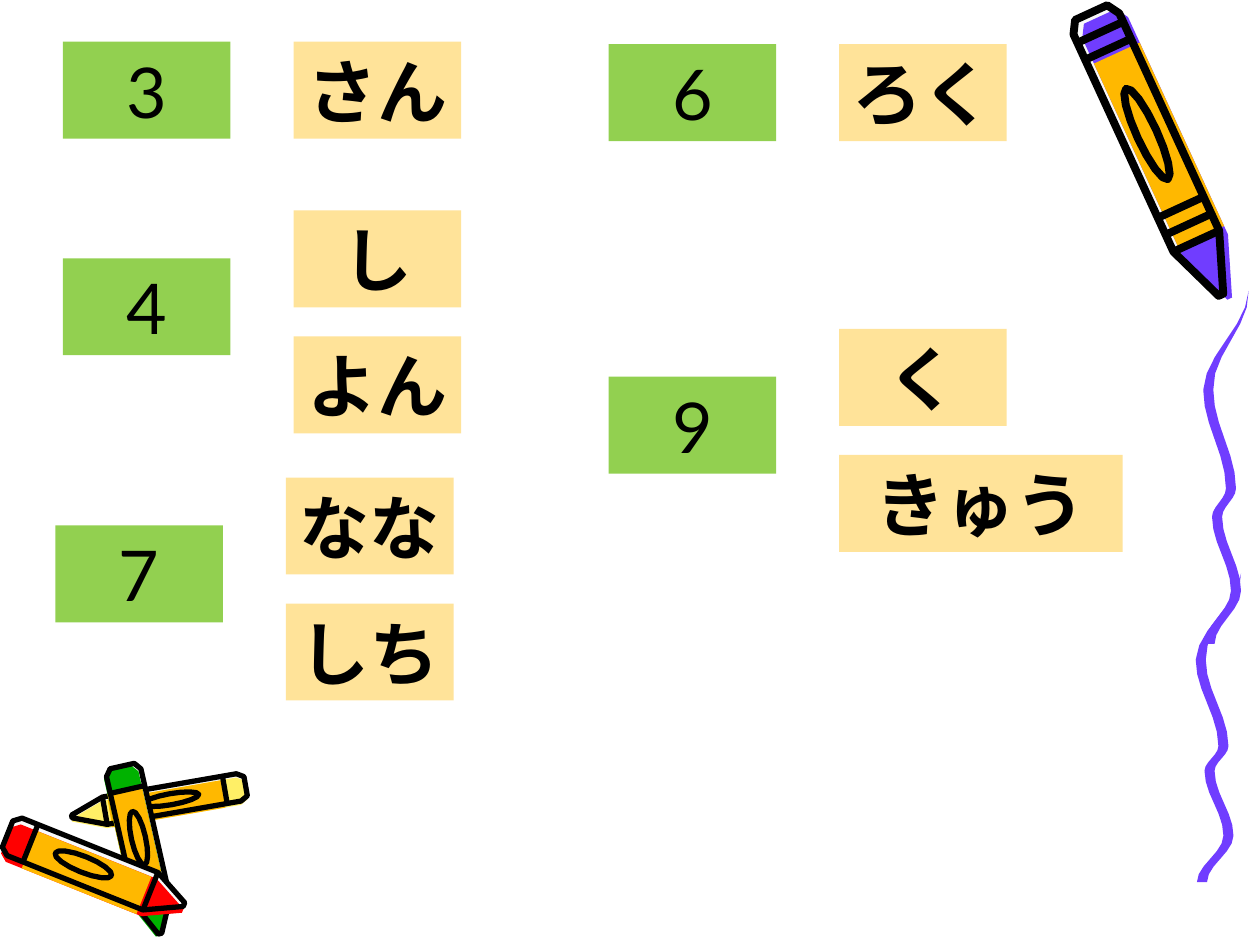
from dataclasses import dataclass
from math import cos, hypot, pi, sin

from lxml import etree
from pptx import Presentation
from pptx.dml.color import RGBColor
from pptx.enum.shapes import MSO_CONNECTOR, MSO_SHAPE
from pptx.enum.text import MSO_ANCHOR, PP_ALIGN
from pptx.oxml.ns import qn
from pptx.util import Inches, Pt

BLACK = RGBColor(0x00, 0x00, 0x00)
PURPLE = RGBColor(0x70, 0x3D, 0xFF)
ORANGE = RGBColor(0xFF, 0xB8, 0x00)
PAPER = RGBColor(0xF8, 0xF8, 0xF8)
YELLOW = RGBColor(0xFF, 0xEF, 0x66)
RED = RGBColor(0xFF, 0x00, 0x00)
GREEN = RGBColor(0x00, 0xB2, 0x00)
LIME = RGBColor(0x92, 0xD0, 0x50)
CREAM = RGBColor(0xFF, 0xE3, 0x99)

LATIN = "Lato"
KANA = "Noto Sans CJK JP"
CARD_W, WIDE_CARD_W, CARD_H = 1.33, 2.25, 0.77
READING_DX, READING_STEP, READING_RISE = 1.83, 1.0, 0.38

SHOULDER = 0.81
SILHOUETTE = [(0, -0.7), (0, 0.7), (0.04, 1), (SHOULDER, 1), (1, 0.1),
              (1, -0.1), (SHOULDER, -1), (0.04, -1)]
WRAPPER = [(0.13, -1), (0.13, 1), (0.78, 1), (0.78, -1)]
LABEL = [(0.43 + 0.16 * cos(i * pi / 8), 0.4 * sin(i * pi / 8)) for i in range(16)]

STRAND_TURNS = [(0, 0), (-0.32, 0.28), (-0.14, 0.56), (-0.25, 0.64), (-0.1, 0.85), (-0.31, 1)]
STRAND_THICKNESS = 0.08
STEPS_PER_TURN = 6

NUMBERS = [
    ("3", 0.5, 0.33, ["さん"]),
    ("6", 4.83, 0.35, ["ろく"]),
    ("4", 0.5, 2.05, ["し", "よん"]),
    ("7", 0.44, 4.17, ["なな", "しち"]),
    ("9", 4.83, 2.99, ["く", "きゅう"]),
]


@dataclass
class Crayon:
    tail: tuple
    tip: tuple
    width: float
    colour: RGBColor
    colour_shift: tuple
    ink: float
    bands: tuple

    def place(self, along, across, shift=(0, 0)):
        dx, dy = self.tip[0] - self.tail[0], self.tip[1] - self.tail[1]
        side = across * self.width / 2 / hypot(dx, dy)
        return (self.tail[0] + along * dx - side * dy + shift[0],
                self.tail[1] + along * dy + side * dx + shift[1])

    def outline(self, part, shift=(0, 0)):
        return [self.place(along, across, shift) for along, across in part]


CRAYONS = [
    Crayon((8.66, 0.1), (9.69, 2.34), 0.4, PURPLE, (0.07, 0.03), 4.5, (0.07, 0.13, 0.69, 0.75, SHOULDER)),
    Crayon((1.95, 6.24), (0.57, 6.48), 0.22, YELLOW, (0, 0.03), 3, (0.12, SHOULDER)),
    Crayon((0.97, 6.08), (1.27, 7.41), 0.28, GREEN, (-0.02, 0.02), 3, (0.14, SHOULDER)),
    Crayon((0.06, 6.62), (1.46, 7.18), 0.32, RED, (-0.01, 0.05), 3, (0.13, SHOULDER)),
]


def paint(sp, colour):
    sp.shadow.inherit = False
    sp.fill.solid()
    sp.fill.fore_color.rgb = colour
    sp.line.fill.background()


def add_polygon(s, points, fill=None, ink=None):
    corners = [(Inches(x), Inches(y)) for x, y in points]
    builder = s.shapes.build_freeform(*corners[0])
    builder.add_line_segments(corners[1:], close=True)
    sp = builder.convert_to_shape()
    if fill is not None:
        paint(sp, fill)
    else:
        sp.shadow.inherit = False
        sp.fill.background()
        sp.line.color.rgb = BLACK
        sp.line.width = Pt(ink)


def add_stroke(s, start, end, ink):
    line = s.shapes.add_connector(MSO_CONNECTOR.STRAIGHT, *map(Inches, start + end))
    line.line.color.rgb = BLACK
    line.line.width = Pt(ink)
    etree.SubElement(line._element.spPr, qn("a:effectLst"))


def add_crayon(s, crayon):
    add_polygon(s, crayon.outline(SILHOUETTE), fill=PAPER)
    add_polygon(s, crayon.outline(SILHOUETTE, crayon.colour_shift), fill=crayon.colour)
    add_polygon(s, crayon.outline(WRAPPER, crayon.colour_shift), fill=ORANGE)
    for part in (SILHOUETTE, LABEL):
        add_polygon(s, crayon.outline(part), ink=crayon.ink)
    for along in crayon.bands:
        add_stroke(s, crayon.place(along, -1), crayon.place(along, 1), crayon.ink)


def add_strand(s, x, y, height):
    centre = []
    for (x1, y1), (x2, y2) in zip(STRAND_TURNS, STRAND_TURNS[1:]):
        for i in range(STEPS_PER_TURN):
            t = i / STEPS_PER_TURN
            ease = (1 - cos(pi * t)) / 2
            centre.append((x + x1 + (x2 - x1) * ease, y + height * (y1 + (y2 - y1) * t)))
    last_dx, last_y = STRAND_TURNS[-1]
    centre.append((x + last_dx, y + height * last_y))
    half = [STRAND_THICKNESS / 2 * min(1, i / STEPS_PER_TURN) for i in range(len(centre))]
    left = [(cx - h, cy) for (cx, cy), h in zip(centre, half)]
    right = [(cx + h, cy) for (cx, cy), h in zip(centre, half)]
    add_polygon(s, left + right[::-1], fill=PURPLE)


def add_card(s, text, x, y, w, colour, font, bold=False):
    sp = s.shapes.add_shape(MSO_SHAPE.RECTANGLE, Inches(x), Inches(y), Inches(w), Inches(CARD_H))
    paint(sp, colour)
    tf = sp.text_frame
    tf.word_wrap = True
    tf.vertical_anchor = MSO_ANCHOR.MIDDLE
    p = tf.paragraphs[0]
    p.text = text
    p.alignment = PP_ALIGN.CENTER
    p.font.name = font
    p.font.size = Pt(40)
    p.font.bold = bold
    p.font.color.rgb = BLACK
    etree.SubElement(p.runs[0].font._element, qn("a:ea"), typeface=font)


def add_number(s, digit, x, y, readings):
    add_card(s, digit, x, y, CARD_W, LIME, LATIN)
    top = y - READING_RISE * (len(readings) - 1)
    for i, kana in enumerate(readings):
        w = WIDE_CARD_W if len(kana) > 2 else CARD_W
        add_card(s, kana, x + READING_DX, top + i * READING_STEP, w, CREAM, KANA, bold=True)


def main():
    prs = Presentation()
    prs.slide_width, prs.slide_height = Inches(10), Inches(7.5)
    s = prs.slides.add_slide(prs.slide_layouts[6])
    add_strand(s, 9.85, 4.55, 2.45)
    add_strand(s, 9.91, 2.31, 2.8)
    for crayon in CRAYONS:
        add_crayon(s, crayon)
    for number in NUMBERS:
        add_number(s, *number)
    prs.save("out.pptx")


if __name__ == "__main__":
    main()
